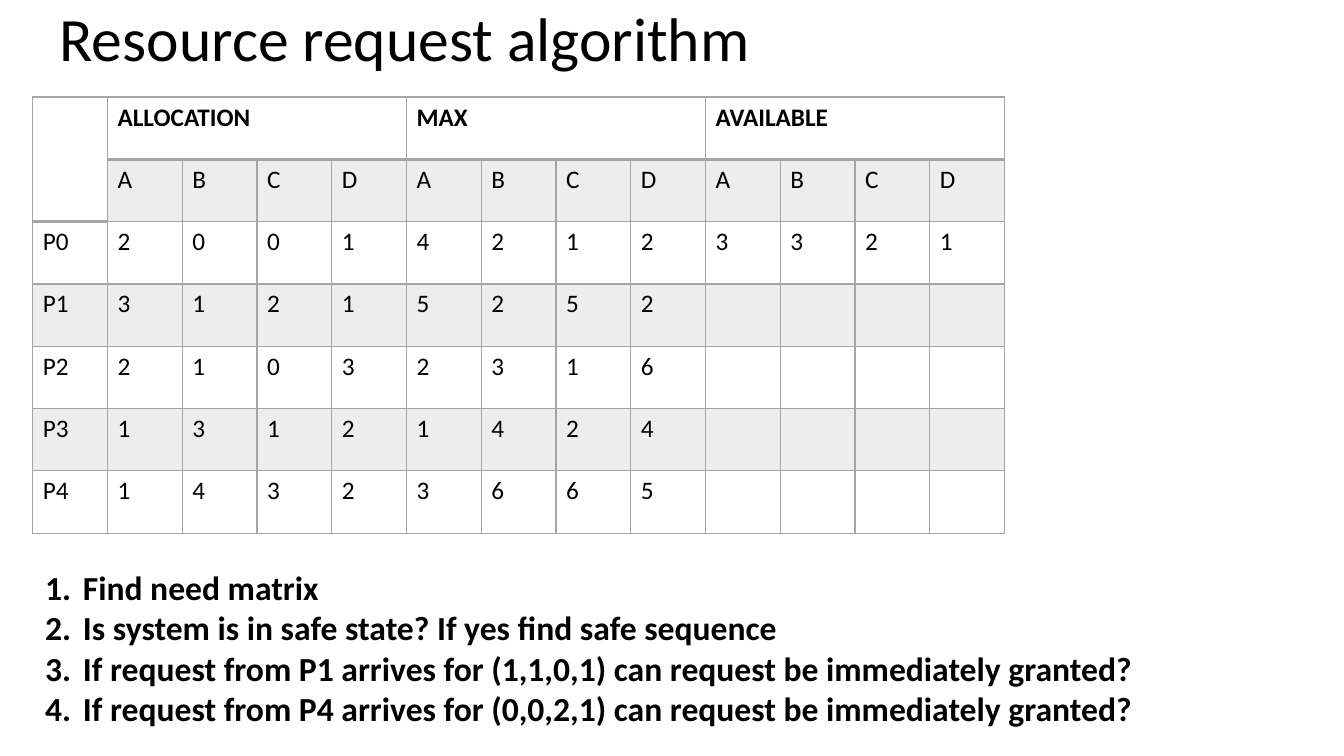
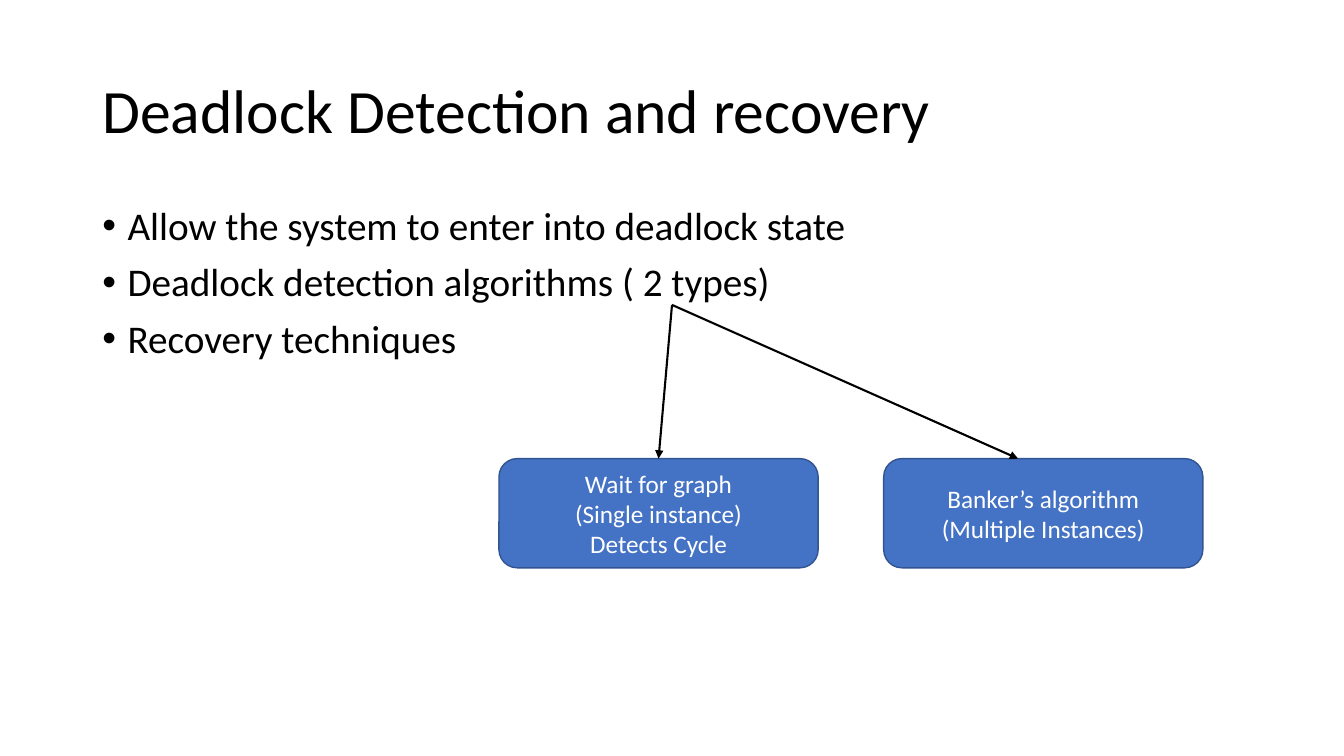
import pptx
import pptx.dml.color
import pptx.enum.shapes
import pptx.enum.text
import pptx.oxml
import pptx.oxml.ns
import pptx.util
from lxml import etree

COLOURS = {
    "ink": "000000",
    "paper": "FFFFFF",
    "grid": "A5A5A5",
    "box": "4472C4",
    "edge": "325491",
}
FONT = "Calibri"
COLUMNS, ROWS = 160, 90
BAND_ALPHA = 20000


def colour(name):
    return pptx.dml.color.RGBColor.from_string(COLOURS[name])


def add_child(parent, tag, **attributes):
    child = etree.SubElement(parent, pptx.oxml.ns.qn(tag))
    for name, value in attributes.items():
        child.set(name, str(value))
    return child


class Deck:
    def __init__(self):
        self.deck = pptx.Presentation()
        self.deck.slide_width = pptx.util.Inches(13.33)
        self.deck.slide_height = pptx.util.Inches(7.5)
        self.page = None

    def across(self, columns):
        return round(self.deck.slide_width * columns / COLUMNS)

    def down(self, rows):
        return round(self.deck.slide_height * rows / ROWS)

    def place(self, left, top, width, height):
        return self.across(left), self.down(top), self.across(width), self.down(height)

    def add_page(self):
        self.page = self.deck.slides.add_slide(self.deck.slide_layouts[6])

    def add_span(self, para, text, size, ink="ink", bold=False):
        span = para.add_run()
        span.text = text
        span.font.name = FONT
        span.font.size = pptx.util.Pt(size)
        span.font.bold = bold
        span.font.color.rgb = colour(ink)

    def paragraphs(self, frame, lines):
        for index, line in enumerate(lines):
            yield (frame.add_paragraph() if index else frame.paragraphs[0]), line

    def text_box(self, place):
        frame = self.page.shapes.add_textbox(*self.place(*place)).text_frame
        frame.word_wrap = True
        return frame

    def title(self, text, place):
        frame = self.text_box(place)
        frame.vertical_anchor = pptx.enum.text.MSO_ANCHOR.MIDDLE
        para = frame.paragraphs[0]
        para.line_spacing = 0.9
        self.add_span(para, text, 44)

    def item_list(self, lines, place, size, indent, numbered=False):
        frame = self.text_box(place)
        hang = self.across(indent)
        for para, line in self.paragraphs(frame, lines):
            if not numbered:
                para.line_spacing = 0.9
                para.space_before = pptx.util.Pt(10)
            settings = para._p.get_or_add_pPr()
            settings.set("marL", str(hang))
            settings.set("indent", str(-hang))
            if numbered:
                add_child(settings, "a:buFont", typeface="+mj-lt")
                add_child(settings, "a:buAutoNum", type="arabicPeriod")
            else:
                add_child(settings, "a:buFont", typeface="Arial")
                add_child(settings, "a:buChar", char="•")
            self.add_span(para, line, size, bold=numbered)

    def box(self, lines, place):
        box = self.page.shapes.add_shape(
            pptx.enum.shapes.MSO_SHAPE.ROUNDED_RECTANGLE, *self.place(*place))
        box.shadow.inherit = False
        box.fill.solid()
        box.fill.fore_color.rgb = colour("box")
        box.line.color.rgb = colour("edge")
        box.line.width = pptx.util.Pt(1)
        frame = box.text_frame
        frame.word_wrap = True
        frame.vertical_anchor = pptx.enum.text.MSO_ANCHOR.MIDDLE
        for para, line in self.paragraphs(frame, lines):
            para.alignment = pptx.enum.text.PP_ALIGN.CENTER
            self.add_span(para, line, 18, ink="paper")
        return box

    def arrow(self, start, end, target=None):
        arrow = self.page.shapes.add_connector(
            pptx.enum.shapes.MSO_CONNECTOR.STRAIGHT,
            self.across(start[0]), self.down(start[1]),
            self.across(end[0]), self.down(end[1]))
        if target is not None:
            arrow.end_connect(target, 0)
        arrow.line.color.rgb = colour("ink")
        arrow.line.width = pptx.util.Pt(1.5)
        add_child(arrow.line._get_or_add_ln(), "a:tailEnd", type="triangle")
        add_child(arrow._element.spPr, "a:effectLst")

    def border(self, cell, side, points):
        line = add_child(cell._tc.get_or_add_tcPr(), "a:ln" + side,
                         w=pptx.util.Pt(points))
        add_child(add_child(line, "a:solidFill"), "a:srgbClr", val=COLOURS["grid"])

    def fill_cell(self, cell, banded):
        if not banded:
            cell.fill.background()
            return
        cell.fill.solid()
        cell.fill.fore_color.rgb = colour("grid")
        tint = cell._tc.tcPr.find(pptx.oxml.ns.qn("a:solidFill"))
        add_child(tint[0], "a:alpha", val=BAND_ALPHA)

    def matrix_table(self, groups, letters, processes, left, top, column, row):
        width = len(groups) * len(letters) + 1
        height = len(processes) + 2
        table = self.page.shapes.add_table(
            height, width,
            *self.place(left, top, column * width, row * height)).table
        table.first_row = table.horz_banding = False
        for line in table.columns:
            line.width = self.across(column)
        for line in table.rows:
            line.height = self.down(row)

        heading = [""]
        for group in groups:
            heading += [group] + [""] * (len(letters) - 1)
        grid = [heading, [""] + list(letters) * len(groups)]
        grid += [[name, *values] for name, values in processes.items()]

        table.cell(0, 0).merge(table.cell(1, 0))
        for first in range(1, width, len(letters)):
            table.cell(0, first).merge(table.cell(0, first + len(letters) - 1))

        for y in range(height):
            for x in range(width):
                cell = table.cell(y, x)
                rule = 1 if x else 2
                bottom = y + (cell.span_height if cell.is_merge_origin else 1)
                for side, edge in (("L", None), ("R", None), ("T", y), ("B", bottom)):
                    self.border(cell, side, 2 if edge == rule else 1)
                self.fill_cell(cell, y % 2 == 1 and not cell.is_spanned)
                if x < len(grid[y]) and grid[y][x]:
                    self.add_span(cell.text_frame.paragraphs[0], grid[y][x], 18,
                                  bold=y == 0)


def request_page(deck):
    deck.add_page()
    deck.title("Resource request algorithm", (5.9, 0.1, 138, 9.7))
    deck.matrix_table(
        ("ALLOCATION", "MAX", "AVAILABLE"), "ABCD",
        {"P0": "200142123321", "P1": "31215252", "P2": "21032316",
         "P3": "13121424", "P4": "14323665"},
        left=3.9, top=11.55, column=8.9, row=7.42)
    deck.item_list(
        ("Find need matrix",
         "Is system is in safe state? If yes find safe sequence",
         "If request from P1 arrives for (1,1,0,1) can request be immediately granted?",
         "If request from P4 arrives for (0,0,2,1) can request be immediately granted?"),
        (4.2, 66.9, 149.5, 23), 24, 4.5, numbered=True)


def detection_page(deck):
    deck.add_page()
    deck.title("Deadlock Detection and recovery", (11, 4.8, 138, 17.4))
    deck.item_list(
        ("Allow the system to enter into deadlock state",
         "Deadlock detection algorithms ( 2 types)",
         "Recovery techniques"),
        (11, 24, 138, 57.1), 28, 3)
    left, top, width, height = 59.4, 54.6, 38, 13
    graph = deck.box(("Wait for graph", "(Single instance)", "Detects Cycle"),
                     (left, top, width, height))
    deck.box(("Banker’s algorithm", "(Multiple Instances)"),
             (105.2, top, width, height))
    fork = (80, 36.3)
    deck.arrow(fork, (left + width / 2, top), graph)
    deck.arrow(fork, (121.2, top))


def main():
    deck = Deck()
    request_page(deck)
    detection_page(deck)
    deck.deck.save("out.pptx")


if __name__ == "__main__":
    main()
